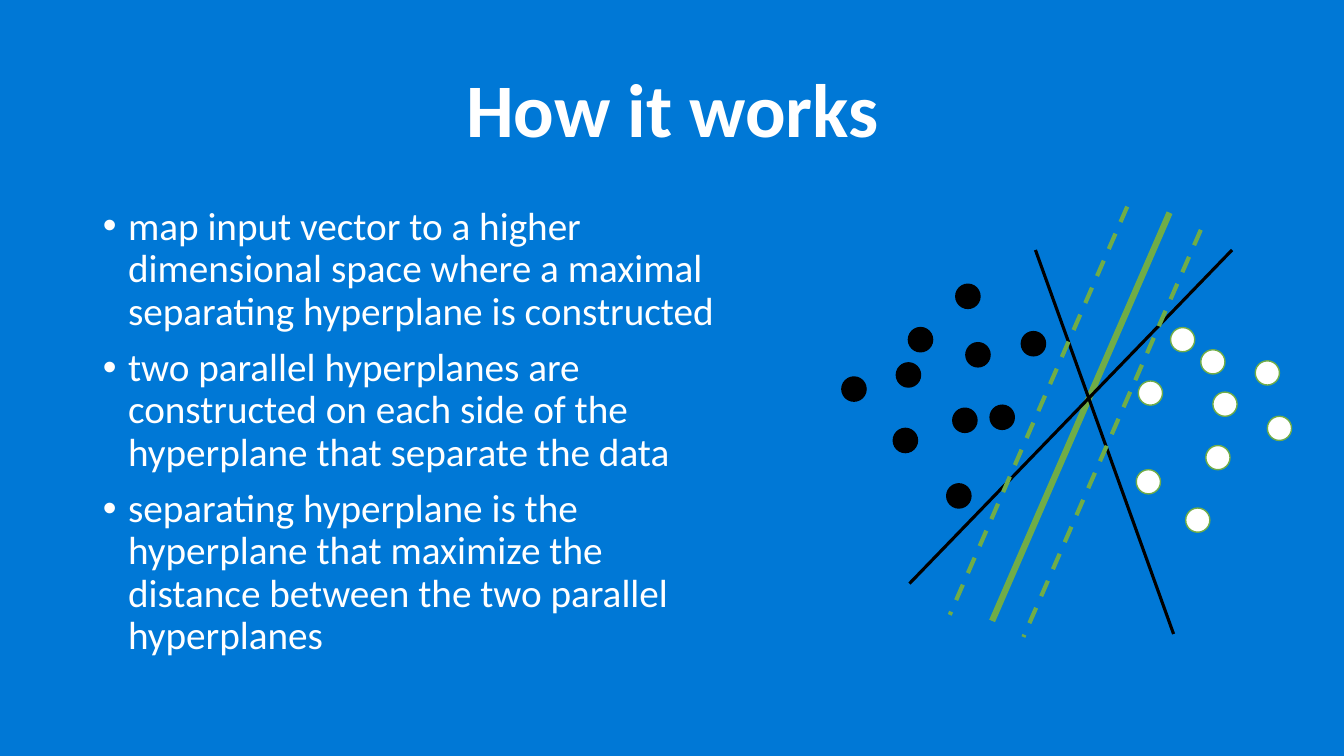
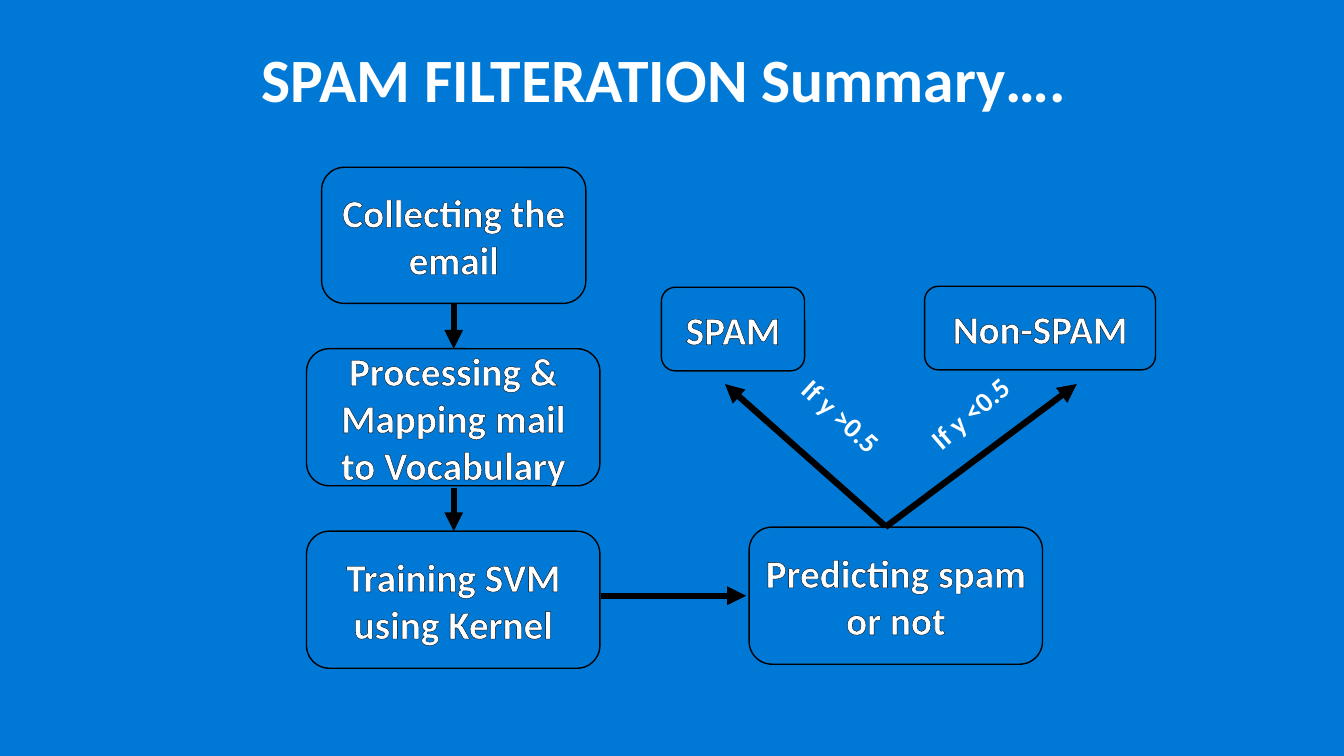
from lxml import etree
from pptx import Presentation
from pptx.dml.color import RGBColor
from pptx.enum.dml import MSO_LINE
from pptx.enum.shapes import MSO_CONNECTOR, MSO_SHAPE
from pptx.enum.text import MSO_ANCHOR, PP_ALIGN
from pptx.oxml.ns import qn
from pptx.util import Inches, Pt

STRAIGHT = MSO_CONNECTOR.STRAIGHT
OVAL = MSO_SHAPE.OVAL
ROUNDED = MSO_SHAPE.ROUNDED_RECTANGLE
DASH = MSO_LINE.DASH
MIDDLE = MSO_ANCHOR.MIDDLE
CENTER = PP_ALIGN.CENTER

FONT = "Calibri"
COLORS = {"blue": "0078D6", "white": "FFFFFF", "black": "000000", "green": "70AD47"}
TITLE_ONLY, TITLE_AND_CONTENT = 5, 1

BULLETS = [
    "map input vector to a higher dimensional space where a maximal separating hyperplane is constructed",
    "two parallel hyperplanes are constructed on each side of the hyperplane that separate the data",
    "separating hyperplane is the hyperplane that maximize the distance between the two parallel hyperplanes",
]
DOT_SIZE = 0.24
DOT_GROUPS = [
    ("black", "black", [
        (9.01, 3.25), (10.13, 3.29), (9.48, 2.82), (9.58, 3.4), (8.86, 4.25),
        (8.89, 3.6), (9.45, 4.05), (9.39, 4.8), (9.82, 4.02), (8.35, 3.74),
    ]),
    ("white", "green", [
        (11.61, 3.25), (11.29, 3.78), (11.91, 3.47), (12.03, 3.89), (11.96, 4.42),
        (11.27, 4.66), (12.57, 4.13), (12.45, 3.58), (11.76, 5.04),
    ]),
]
HYPERPLANES = [
    ((11.6, 2.11), (9.84, 6.16), "green", 4.5, None),
    ((9.02, 5.79), (12.22, 2.48), "black", 2.25, None),
    ((11.64, 6.29), (10.27, 2.48), "black", 2.25, None),
    ((11.91, 2.28), (10.15, 6.32), "green", 3, DASH),
    ((11.18, 2.05), (9.42, 6.1), "green", 3, DASH),
]

STEPS = [
    ("Collecting the email", (3.19, 1.66, 2.62, 1.35)),
    ("Processing & Mapping mail to Vocabulary", (3.04, 3.46, 2.91, 1.36)),
    ("Training SVM using Kernel", (3.04, 5.27, 2.91, 1.36)),
    ("Predicting spam or not", (7.43, 5.23, 2.91, 1.36)),
    ("SPAM", (6.56, 2.85, 1.42, 0.83)),
    ("Non-SPAM", (9.17, 2.84, 2.29, 0.83)),
]
ARROWS = [
    ((4.5, 3.01), (4.5, 3.46)),
    ((4.5, 4.84), (4.5, 5.27)),
    ((5.96, 5.91), (7.4, 5.91)),
    ((8.78, 5.22), (7.19, 3.81)),
    ((8.78, 5.23), (10.68, 3.81)),
]
CONDITIONS = [
    ("If y >0.5", (7.42, 3.89, 1.82, 0.5), 42.4),
    ("If y <0.5", (8.72, 3.86, 1.82, 0.5), 319.6),
]


def color(name):
    return RGBColor.from_string(COLORS[name])


def place(shape, box):
    shape.left, shape.top, shape.width, shape.height = map(Inches, box)


def style_paragraph(paragraph, size, bold=True, spacing=None, align=CENTER):
    paragraph.alignment = align
    paragraph.line_spacing = spacing
    font = paragraph.font
    font.name, font.size, font.bold = FONT, Pt(size), bold
    font.color.rgb = color("white")


def outline_text(paragraph):
    properties = paragraph._p.pPr.find(qn("a:defRPr"))
    line = etree.Element(qn("a:ln"), w=str(Pt(0.75)))
    fill = etree.SubElement(line, qn("a:solidFill"))
    etree.SubElement(fill, qn("a:srgbClr"), val=COLORS["black"])
    properties.insert(0, line)


def add_slide(presentation, layout, title, box, size):
    slide = presentation.slides.add_slide(presentation.slide_layouts[layout])
    place(slide.shapes.title, box)
    frame = slide.shapes.title.text_frame
    frame.text = title
    frame.vertical_anchor = MIDDLE
    style_paragraph(frame.paragraphs[0], size, spacing=0.9)
    return slide


def add_bullets(slide, box):
    body = slide.placeholders[1]
    place(body, box)
    frame = body.text_frame
    frame.text = "\n".join(BULLETS)
    for paragraph in frame.paragraphs:
        style_paragraph(paragraph, 28, bold=False, spacing=0.9, align=PP_ALIGN.LEFT)
        paragraph.space_before = Pt(10)
        properties = paragraph._p.pPr
        properties.set("marL", str(Inches(0.25)))
        properties.set("indent", str(-Inches(0.25)))


def add_shape(slide, kind, box, fill, line):
    shape = slide.shapes.add_shape(kind, *map(Inches, box))
    shape.shadow.inherit = False
    shape.fill.solid()
    shape.fill.fore_color.rgb = color(fill)
    shape.line.color.rgb = color(line)
    shape.line.width = Pt(1)
    return shape


def add_line(slide, start, end, line_color="black", width=4.5, dash=None, arrow=False):
    connector = slide.shapes.add_connector(STRAIGHT, *map(Inches, start + end))
    connector.line.color.rgb = color(line_color)
    connector.line.width = Pt(width)
    if dash:
        connector.line.dash_style = dash
    if arrow:
        etree.SubElement(connector.line._get_or_add_ln(), qn("a:tailEnd"), type="triangle")
    etree.SubElement(connector._element.spPr, qn("a:effectLst"))


def fill_text(shape, text, size, spacing=None):
    frame = shape.text_frame
    frame.word_wrap = True
    frame.vertical_anchor = MIDDLE
    frame.text = text
    style_paragraph(frame.paragraphs[0], size, spacing=spacing)
    return frame.paragraphs[0]


def build_how_it_works(presentation):
    slide = add_slide(presentation, TITLE_AND_CONTENT, "How it works", (0.92, 0.4, 11.5, 1.45), 54)
    add_bullets(slide, (0.92, 2, 6.38, 4.76))
    for fill, line, positions in DOT_GROUPS:
        for left, top in positions:
            add_shape(slide, OVAL, (left, top, DOT_SIZE, DOT_SIZE), fill, line)
    for hyperplane in HYPERPLANES:
        add_line(slide, *hyperplane)


def build_summary(presentation):
    slide = add_slide(presentation, TITLE_ONLY, "SPAM FILTERATION Summary….", (0.84, 0.21, 11.5, 1.22), 44)
    for text, box in STEPS:
        step = add_shape(slide, ROUNDED, box, "blue", "black")
        outline_text(fill_text(step, text, 28))
    for start, end in ARROWS:
        add_line(slide, start, end, arrow=True)
    for text, box, rotation in CONDITIONS:
        condition = slide.shapes.add_textbox(*map(Inches, box))
        condition.rotation = rotation
        fill_text(condition, text, 20, spacing=0.9)


def main():
    presentation = Presentation()
    presentation.slide_width, presentation.slide_height = Inches(13.33), Inches(7.5)
    background = presentation.slide_master.background.fill
    background.solid()
    background.fore_color.rgb = color("blue")
    build_how_it_works(presentation)
    build_summary(presentation)
    presentation.save("out.pptx")


if __name__ == "__main__":
    main()
